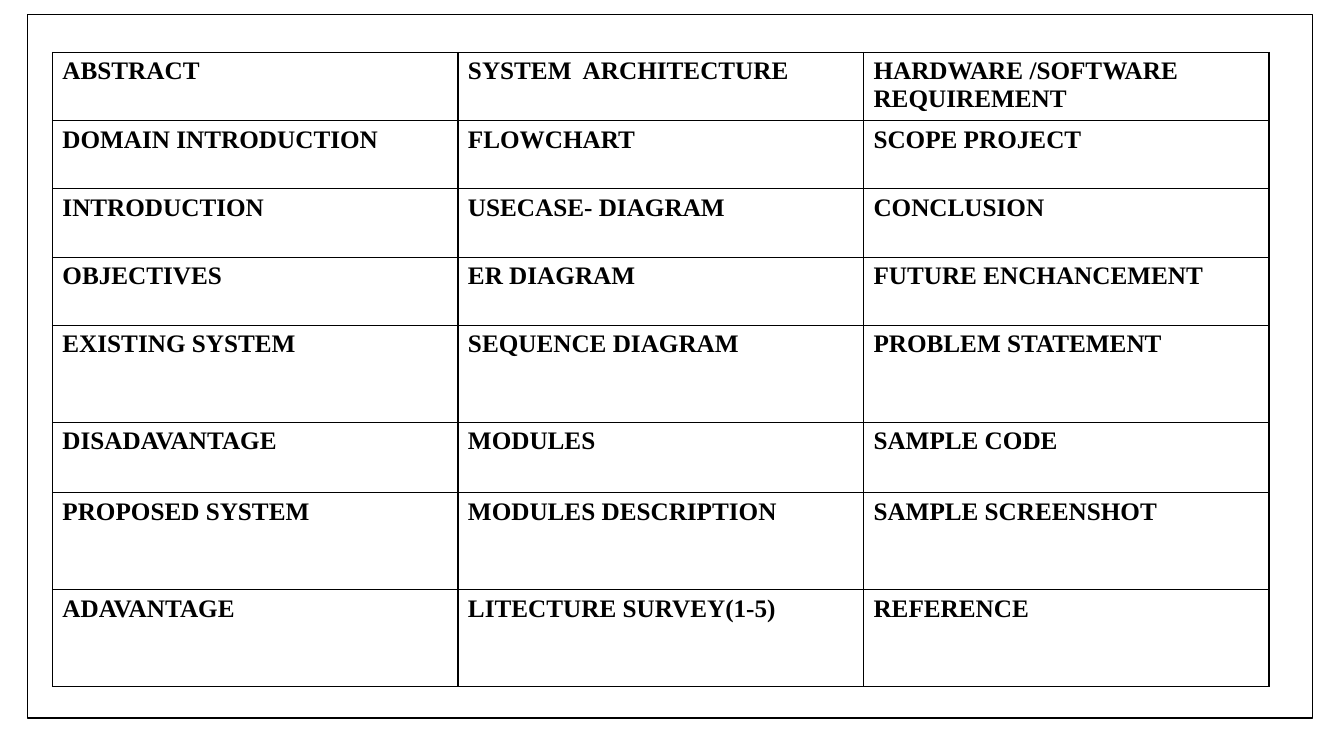
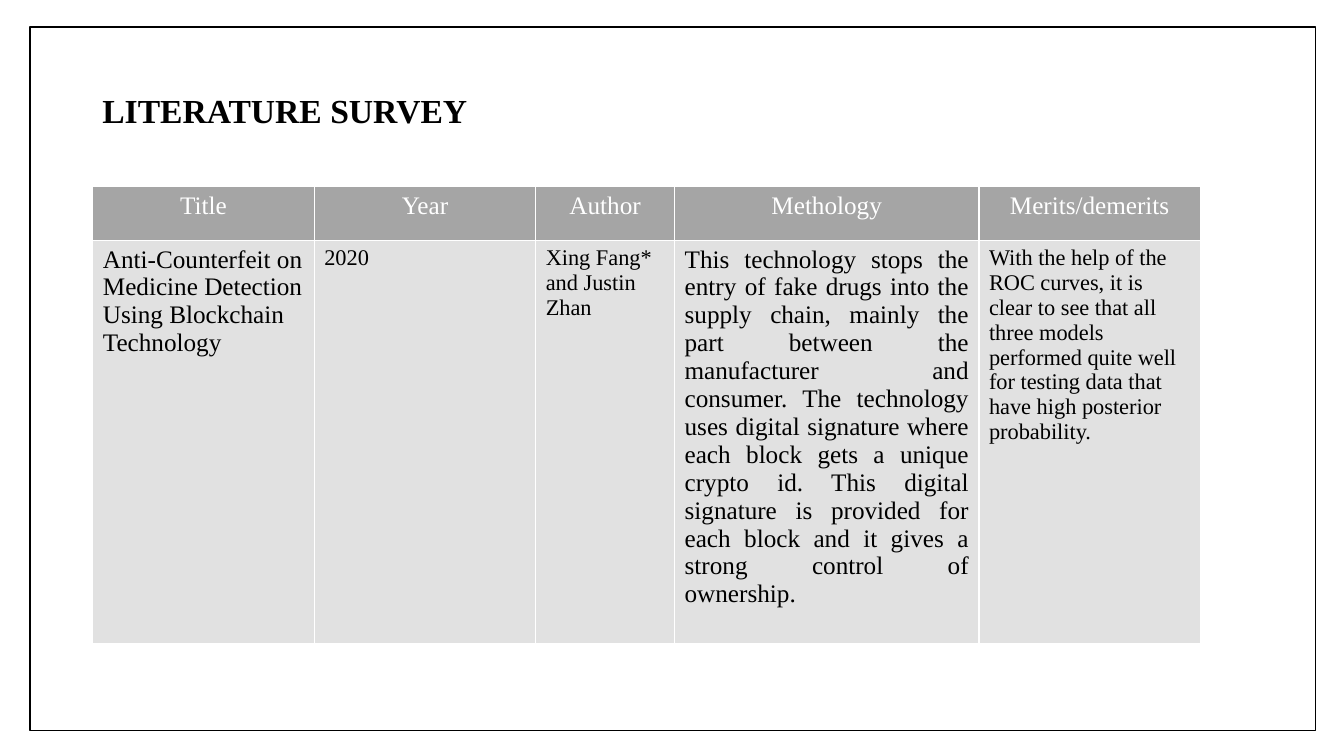
from lxml.etree import SubElement
from pptx import Presentation
from pptx.dml.color import RGBColor
from pptx.enum.shapes import MSO_SHAPE as Preset
from pptx.enum.text import MSO_ANCHOR as Anchor, PP_ALIGN as Align
from pptx.oxml.ns import qn
from pptx.util import Cm, Pt

BLACK = RGBColor(0x00, 0x00, 0x00)
WHITE = RGBColor(0xFF, 0xFF, 0xFF)
HEADER_GREY = RGBColor(0xA5, 0xA5, 0xA5)
BODY_GREY = RGBColor(0xE1, 0xE1, 0xE1)

CONTENTS = [
    ("ABSTRACT", "SYSTEM  ARCHITECTURE", "HARDWARE /SOFTWARE REQUIREMENT"),
    ("DOMAIN INTRODUCTION", "FLOWCHART", "SCOPE PROJECT"),
    ("INTRODUCTION", "USECASE- DIAGRAM", "CONCLUSION"),
    ("OBJECTIVES", "ER DIAGRAM", "FUTURE ENCHANCEMENT"),
    ("EXISTING SYSTEM", "SEQUENCE DIAGRAM", "PROBLEM STATEMENT"),
    ("DISADAVANTAGE", "MODULES", "SAMPLE CODE"),
    ("PROPOSED SYSTEM", "MODULES DESCRIPTION", "SAMPLE SCREENSHOT"),
    ("ADAVANTAGE", "LITECTURE SURVEY(1-5)", "REFERENCE"),
]
SURVEY_HEADINGS = ["Title", "Year", "Author", "Methology", "Merits/demerits"]
SURVEY_ENTRY = [
    ("Anti-Counterfeit on Medicine Detection Using Blockchain Technology", {}),
    ("2020", {"size": 16, "align": Align.JUSTIFY}),
    ("Xing Fang* and Justin Zhan", {"size": 16}),
    ("This technology stops the entry of fake drugs into the supply chain, "
     "mainly the part between the manufacturer and consumer. The technology "
     "uses digital signature where each block gets a unique crypto id. This "
     "digital signature is provided for each block and it gives a strong "
     "control of ownership.", {"align": Align.JUSTIFY}),
    ("With the help of the ROC curves, it is clear to see that all three "
     "models performed quite well for testing data that have high posterior "
     "probability.", {"size": 16}),
]


def write_text(frame, text, size=18, color=BLACK, bold=False,
               align=Align.LEFT, spacing=None):
    """Write one formatted paragraph into a text frame."""
    paragraph = frame.paragraphs[0]
    paragraph.alignment = align
    paragraph.line_spacing = spacing
    run = paragraph.add_run()
    run.text = text
    run.font.name = "Times New Roman"
    run.font.size = Pt(size)
    run.font.bold = bold
    run.font.color.rgb = color


def set_borders(cell, color):
    """Give all four sides of a cell a thin line."""
    properties = cell._tc.get_or_add_tcPr()
    for side in ("a:lnL", "a:lnR", "a:lnT", "a:lnB"):
        line = SubElement(properties, qn(side), w=str(Pt(1)))
        fill = SubElement(line, qn("a:solidFill"))
        SubElement(fill, qn("a:srgbClr"), val=str(color))


class Deck:
    """Hold the presentation, its style and the current slide."""

    def __init__(self):
        """Start an empty widescreen presentation."""
        self.presentation = Presentation()
        self.presentation.slide_width = Cm(33.87)
        self.presentation.slide_height = Cm(19.05)
        self.slide = None

    def add_slide(self):
        """Add a blank slide and make it current."""
        layout = self.presentation.slide_layouts[6]
        self.slide = self.presentation.slides.add_slide(layout)

    def add_frame(self, left, top):
        """Draw the thin page frame."""
        shape = self.slide.shapes.add_shape(
            Preset.RECTANGLE, Cm(left), Cm(top), Cm(32.39), Cm(17.73))
        shape.shadow.inherit = False
        shape.fill.background()
        shape.line.color.rgb = BLACK
        shape.line.width = Pt(1)

    def add_title(self, text):
        """Write the slide title."""
        shape = self.slide.shapes.add_textbox(
            Cm(2.33), Cm(1.01), Cm(29.21), Cm(3.68))
        frame = shape.text_frame
        frame.word_wrap = True
        frame.vertical_anchor = Anchor.MIDDLE
        write_text(frame, text, size=24, bold=True, spacing=0.9)

    def add_table(self, left, top, widths, heights, rows, fills, border):
        """Draw a table from rows of text and format pairs."""
        table = self.slide.shapes.add_table(
            len(heights), len(widths), Cm(left), Cm(top),
            Cm(sum(widths)), Cm(sum(heights))).table
        table.first_row = False
        table.horz_banding = False
        for column, width in zip(table.columns, widths):
            column.width = Cm(width)
        for row, height, entries, fill in zip(table.rows, heights, rows, fills):
            row.height = Cm(height)
            for cell, (text, style) in zip(row.cells, entries):
                set_borders(cell, border)
                if fill is None:
                    cell.fill.background()
                else:
                    cell.fill.solid()
                    cell.fill.fore_color.rgb = fill
                write_text(cell.text_frame, text, **style)


def main():
    """Build both slides and save them."""
    deck = Deck()

    deck.add_slide()
    deck.add_frame(0.69, 0.36)
    deck.add_table(
        1.32, 1.32, [10.22] * 3,
        [1.72] * 4 + [2.44, 1.78, 2.44, 2.44],
        [[(text, {"bold": True}) for text in row] for row in CONTENTS],
        [None] * len(CONTENTS), BLACK)

    deck.add_slide()
    deck.add_title("LITERATURE SURVEY")
    heading_style = {"color": WHITE, "align": Align.CENTER}
    deck.add_table(
        2.34, 4.7, [5.58, 5.58, 3.5, 7.67, 5.58], [1.36, 9.39],
        [[(text, heading_style) for text in SURVEY_HEADINGS], SURVEY_ENTRY],
        [HEADER_GREY, BODY_GREY], WHITE)
    deck.add_frame(0.76, 0.68)

    deck.presentation.save("out.pptx")


if __name__ == "__main__":
    main()
